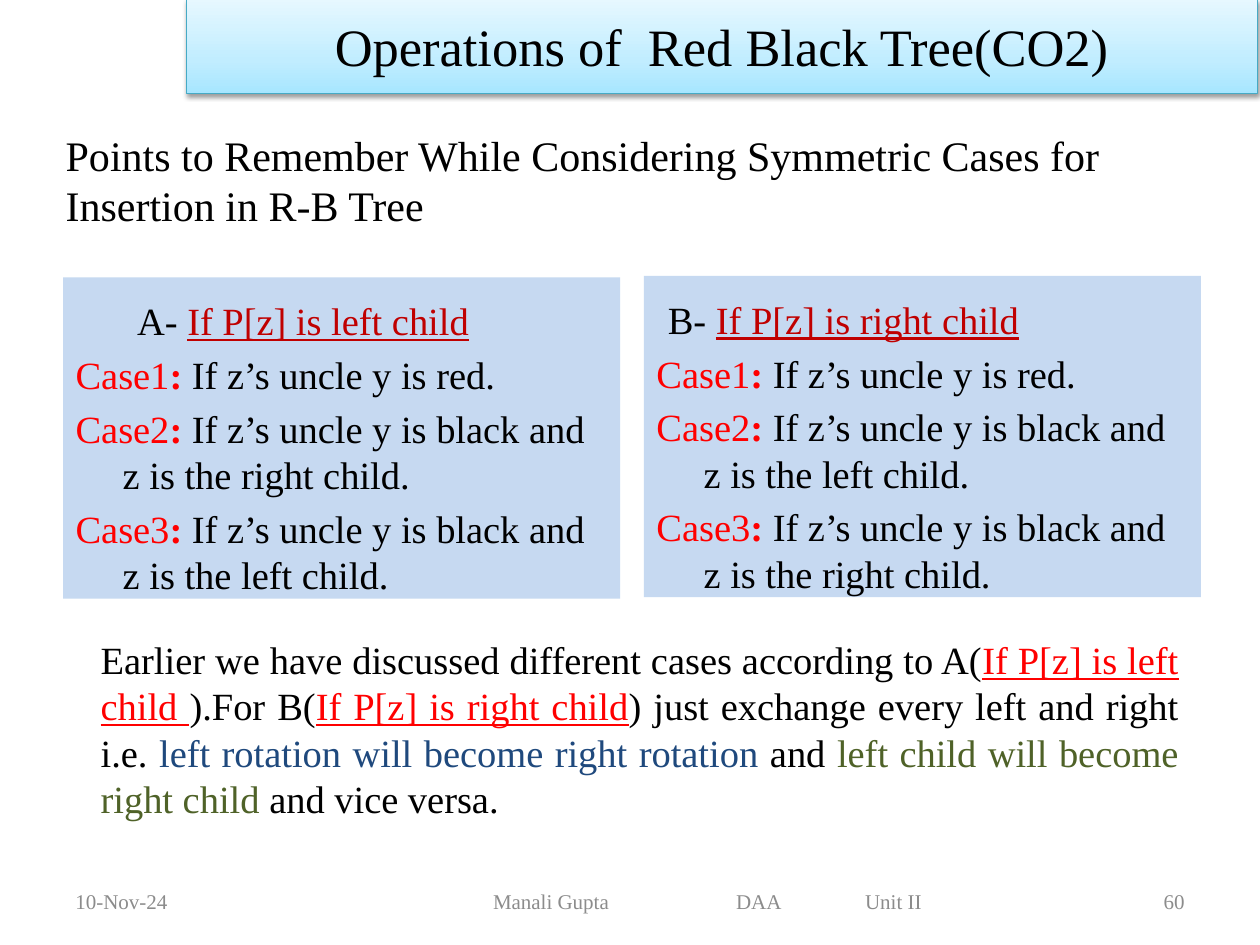
"""Build the slide on symmetric insertion cases in a red-black tree."""
import pptx
import pptx.dml.color
import pptx.enum.shapes
import pptx.enum.text
import pptx.oxml.ns
import pptx.util
import copy
from lxml import etree

Cm, Pt = pptx.util.Cm, pptx.util.Pt
Rgb = pptx.dml.color.RGBColor.from_string
Align, Anchor = pptx.enum.text.PP_ALIGN, pptx.enum.text.MSO_ANCHOR
qn = pptx.oxml.ns.qn
hues = {
    "black": "000000", "red": "FF0000", "dark": "C00000", "navy": "1F497D",
    "green": "4F6228", "gray": "8C8C8C", "panel": "C6D9F1", "edge": "46AAC5",
    "base": "A7E6FF", "mid": "C1EDFF", "top": "E7F8FF",
}


def place(shape, box, **props):
    """Put a shape at a box in cm and format its text frame."""
    for name, size in zip(("left", "top", "width", "height"), box):
        setattr(shape, name, Cm(size))
    frame = shape.text_frame
    props = {"word_wrap": True, "auto_size": pptx.enum.text.MSO_AUTO_SIZE.NONE, **props}
    for name, value in props.items():
        setattr(frame, name, value)
    return frame


def write(para, size, runs, align=Align.LEFT):
    """Add runs of text, each with a hue and any font settings."""
    para.alignment = align
    for text, hue, *more in runs:
        run = para.add_run()
        run.text = text
        font = run.font
        look = {"name": "Times New Roman", "size": Pt(size)}
        look.update(dict.fromkeys(more, True))
        for name, value in look.items():
            setattr(font, name, value)
        font.color.rgb = Rgb(hues[hue])


deck = pptx.Presentation()
deck.slide_width, deck.slide_height = Cm(25.4), Cm(19.05)
slide = deck.slides.add_slide(deck.slide_layouts[3])
title, *panels = slide.placeholders

frame = place(title, (1.07, 2.31, 22.86, 2.62), vertical_anchor=Anchor.MIDDLE)
write(frame.paragraphs[0], 24, [
    ("Points to Remember While Considering Symmetric Cases for Insertion in R-B Tree", "black")])

cases = [
    (1.27, 5.59, "A- ", "If P[z] is left child", 1.24, ("right", "left")),
    (12.98, 5.56, "B- ", "If P[z] is right child", 0.23, ("left", "right")),
]
for panel, (left, top, tag, head, inset, sides) in zip(panels, cases):
    panel.fill.solid()
    panel.fill.fore_color.rgb = Rgb(hues["panel"])
    frame = place(panel, (left, top, 11.23, 6.48), margin_top=Cm(0.4))
    lines = [[(tag, "black"), (head, "dark", "underline")]]
    ends = ["red."] + [f"black and z is the {side} child." for side in sides]
    for num, end in enumerate(ends, 1):
        lines.append([(f"Case{num}", "red"), (": ", "red", "bold"),
                      (f"If z’s uncle y is {end}", "black")])
    for row, runs in enumerate(lines):
        para = frame.add_paragraph() if row else frame.paragraphs[0]
        props = para._p.get_or_add_pPr()
        props.set("marL", str(Cm(0.95 if row else inset)))
        props.set("indent", str(Cm(-0.95 if row else 0)))
        etree.SubElement(props, qn("a:buNone"))
        para.space_before = Pt(4.4 if row else 0)
        write(para, 22, runs)

note = slide.shapes.add_textbox(0, 0, 0, 0)
frame = place(note, (1.78, 12.7, 22.23, 4.01))
write(frame.paragraphs[0], 22, [
    ("Earlier we have discussed different cases according to A(", "black"),
    ("If P[z] is left child ", "red", "underline"),
    (").For B(", "black"),
    ("If P[z] is right child", "red", "underline"),
    (") just exchange every left and right i.e. ", "black"),
    ("left rotation will become right rotation", "navy"),
    (" and ", "black"),
    ("left child will become right child", "green"),
    (" and vice versa.", "black"),
], Align.JUSTIFY)

feet = [
    ("10-Nov-24", 1.27, 5.92, Align.LEFT, 0, ()),
    ("60", 18.21, 5.92, Align.RIGHT, 0, ()),
    ("Manali Gupta\tDAA\tUnit II", 8.69, 10.16, Align.LEFT, 1, (4.9, 7.5)),
]
for text, left, width, align, inset, stops in feet:
    foot = slide.shapes.add_textbox(0, 0, 0, 0)
    frame = place(foot, (left, 17.65, width, 1.02), vertical_anchor=Anchor.MIDDLE)
    para = frame.paragraphs[0]
    props = para._p.get_or_add_pPr()
    props.set("marL", str(Cm(inset)))
    if stops:
        tabs = etree.SubElement(props, qn("a:tabLst"))
        for stop in stops:
            etree.SubElement(tabs, qn("a:tab"), pos=str(Cm(stop)), algn="l")
    write(para, 12, [(text, "gray")], align)

rect = pptx.enum.shapes.MSO_SHAPE.RECTANGLE
banner = slide.shapes.add_shape(rect, 0, 0, 0, 0)
frame = place(banner, (3.76, -0.03, 21.59, 1.91), vertical_anchor=Anchor.MIDDLE)
write(frame.paragraphs[0], 30, [("Operations of  Red Black Tree(CO2)", "black")], Align.CENTER)
banner.line.color.rgb = Rgb(hues["edge"])
banner.line.width = Pt(0.75)
banner.fill.gradient()
banner.fill.gradient_angle = 90
shades = banner._element.spPr.find(".//" + qn("a:gsLst"))
shades.insert(1, copy.deepcopy(shades[0]))
for stop, (hue, spot) in zip(banner.fill.gradient_stops, [("base", 0), ("mid", 0.35), ("top", 1)]):
    stop.color.rgb = Rgb(hues[hue])
    stop.position = spot
banner.shadow.inherit = False
glow = banner._element.spPr.find(qn("a:effectLst"))
shade = etree.SubElement(glow, qn("a:outerShdw"), blurRad=str(Pt(3.1)), dist=str(Pt(1.6)),
                         dir="5400000", rotWithShape="0")
tint = etree.SubElement(shade, qn("a:srgbClr"), val=hues["black"])
etree.SubElement(tint, qn("a:alpha"), val="38000")

deck.save("out.pptx")
